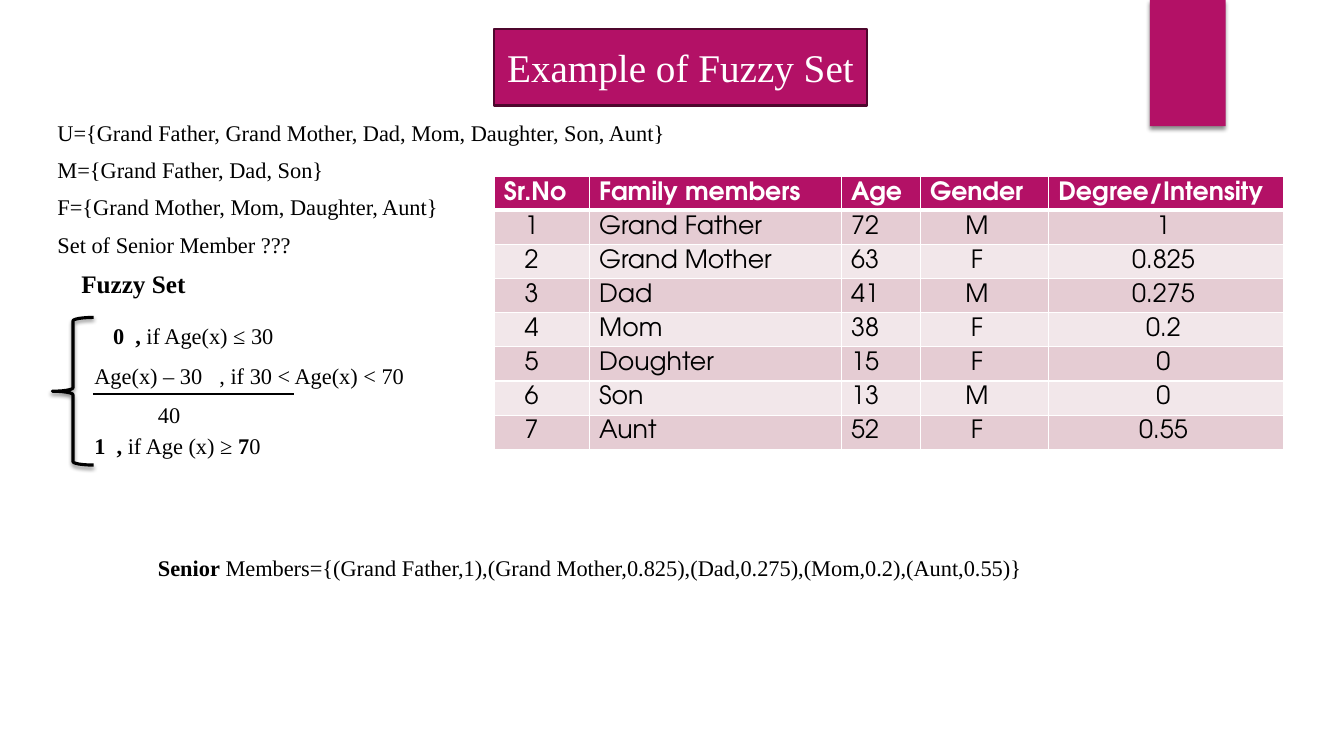
from lxml.etree import SubElement
from pptx import Presentation
from pptx.dml.color import RGBColor
from pptx.enum.shapes import MSO_CONNECTOR as Connector, MSO_SHAPE as Shape
from pptx.enum.text import MSO_ANCHOR as Anchor, MSO_AUTO_SIZE as AutoSize, PP_ALIGN as Align
from pptx.oxml.ns import qn
from pptx.util import Cm, Pt

SERIF, SANS = "Times New Roman", "TeX Gyre Adventor"
MAGENTA, PLUM, BLACK, WHITE = "B31166", "4E072D", "000000", "FFFFFF"
BANDS = ["E5CCD3", "F2E7EA"]

TITLE = "Example of Fuzzy Set"
SETS = [
    "U={Grand Father, Grand Mother, Dad, Mom, Daughter, Son, Aunt}",
    "M={Grand Father, Dad, Son}",
    "F={Grand Mother, Mom, Daughter, Aunt}",
    "Set of Senior Member ???",
]
NOTES = [
    {"at": (1.8, 6.63, 3.7), "runs": [("Fuzzy Set", True)], "size": 18},
    {"at": (2.6, 8, 5.5), "runs": [("0\t, ", True), ("if Age(x) ≤ 30", False)], "tab": 0.56},
    {"at": (2.13, 9, 9.3), "runs": [("Age(x) – 30\t, if 30 < Age(x) < 70", False)], "tab": 3.15},
    {"at": (3.73, 9.98, 1.75), "runs": [("40", False)]},
    {"at": (2.13, 10.77, 5.5), "tab": 0.56,
     "runs": [("1\t, ", True), ("if Age (x) ≥", False), (" 7", True), ("0", False)]},
    {"at": (3.73, 13.83, 24.3), "runs": [
        ("Senior", True),
        (" Members={(Grand Father,1),(Grand Mother,0.825),(Dad,0.275),(Mom,0.2),(Aunt,0.55)}", False)]},
]
COLUMNS = [
    ("Sr.No", 2.4, Align.CENTER, 0.76),
    ("Family members", 6.35, Align.LEFT, 0.25),
    ("Age", 1.99, Align.LEFT, 0.25),
    ("Gender", 3.23, Align.CENTER, 0.62),
    ("Degree/Intensity", 5.92, Align.CENTER, 0.37),
]
MEMBERS = [
    ("1", "Grand Father", "72", "M", "1"),
    ("2", "Grand Mother", "63", "F", "0.825"),
    ("3", "Dad", "41", "M", "0.275"),
    ("4", "Mom", "38", "F", "0.2"),
    ("5", "Doughter", "15", "F", "0"),
    ("6", "Son", "13", "M", "0"),
    ("7", "Aunt", "52", "F", "0.55"),
]
HEADER_HEIGHT, ROW_HEIGHT, CELL_MARGIN = 0.83, 0.86, 0.13


def paint(color_format, color):
    color_format.rgb = RGBColor.from_string(color)


def fill(target, color):
    target.fill.solid()
    paint(target.fill.fore_color, color)


def outline(shape, color, width):
    paint(shape.line.color, color)
    shape.line.width = Pt(width)


def style(span, font, size, color, bold=False):
    span.font.name, span.font.size, span.font.bold = font, Pt(size), bold
    paint(span.font.color, color)


def add_shape(kind, *lengths):
    shape = page.shapes.add_shape(kind, *map(Cm, lengths))
    shape.shadow.inherit = False
    return shape


def drop_shadow(shape):
    effects = shape._element.spPr.find(qn("a:effectLst"))
    shadow = SubElement(effects, qn("a:outerShdw"), blurRad=str(Pt(3)), dist=str(Pt(2)),
                        dir="5400000", rotWithShape="0")
    color = SubElement(shadow, qn("a:srgbClr"), val=BLACK)
    SubElement(color, qn("a:alpha"), val="45000")


def add_text(at, runs, size=16, tab=None):
    left, top, width = at
    box = page.shapes.add_textbox(Cm(left), Cm(top), Cm(width), Cm(0.94))
    frame = box.text_frame
    frame.word_wrap = True
    frame.auto_size = AutoSize.SHAPE_TO_FIT_TEXT
    para = frame.paragraphs[0]
    if tab:
        stops = SubElement(para._p.get_or_add_pPr(), qn("a:tabLst"))
        SubElement(stops, qn("a:tab"), pos=str(Cm(tab)), algn="l")
    for words, bold in runs:
        span = para.add_run()
        span.text = words
        style(span, SERIF, size, BLACK, bold)


def add_borders(cell, bottom):
    for side, width in (("L", 1), ("R", 1), ("T", 1), ("B", bottom)):
        border = SubElement(cell._tc.get_or_add_tcPr(), qn("a:ln" + side), w=str(Pt(width)))
        solid = SubElement(border, qn("a:solidFill"))
        SubElement(solid, qn("a:srgbClr"), val=WHITE)


def add_members():
    widths = [width for _, width, _, _ in COLUMNS]
    rows = [[name for name, _, _, _ in COLUMNS], *MEMBERS]
    heights = [HEADER_HEIGHT] + [ROW_HEIGHT] * len(MEMBERS)
    table = page.shapes.add_table(len(rows), len(widths), Cm(12.45), Cm(4.45),
                                  Cm(sum(widths)), Cm(sum(heights))).table
    for column, width in zip(table.columns, widths):
        column.width = Cm(width)
    for index, (values, height) in enumerate(zip(rows, heights)):
        header = index == 0
        table.rows[index].height = Cm(height)
        for cell, value, (_, _, align, right) in zip(table.rows[index].cells, values, COLUMNS):
            add_borders(cell, 3 if header else 1)
            fill(cell, MAGENTA if header else BANDS[(index - 1) % 2])
            cell.margin_top = cell.margin_bottom = Cm(CELL_MARGIN)
            cell.margin_left = Cm(0.25)
            cell.margin_right = Cm(0 if header else right)
            cell.text_frame.text = value
            para = cell.text_frame.paragraphs[0]
            para.alignment = Align.LEFT if header else align
            style(para.runs[0], SANS, 18, WHITE if header else BLACK, header)


deck = Presentation()
deck.slide_width, deck.slide_height = Cm(33.87), Cm(19.05)
page = deck.slides.add_slide(deck.slide_layouts[6])

ribbon = add_shape(Shape.RECTANGLE, 28.98, 0, 1.91, 3.18)
fill(ribbon, MAGENTA)
ribbon.line.fill.background()
drop_shadow(ribbon)

banner = add_shape(Shape.RECTANGLE, 12.45, 0.73, 9.4, 1.93)
fill(banner, MAGENTA)
outline(banner, PLUM, 1.5)
banner.text_frame.text = TITLE
banner.text_frame.margin_left = banner.text_frame.margin_right = 0
banner.text_frame.vertical_anchor = Anchor.MIDDLE
heading = banner.text_frame.paragraphs[0]
heading.alignment = Align.CENTER
style(heading.runs[0], SERIF, 28, WHITE)

add_members()

for index, words in enumerate(SETS):
    add_text((1.2, 2.87 + 0.94 * index, 16.2 if index == 0 else 10.3), [(words, False)])
for note in NOTES:
    add_text(**note)

brace = add_shape(Shape.LEFT_BRACE, 1.32, 8, 1.04, 3.72)
brace.fill.background()
outline(brace, BLACK, 2.25)
drop_shadow(brace)

fraction_bar = page.shapes.add_connector(Connector.STRAIGHT, Cm(2.34), Cm(9.93), Cm(7.4), Cm(9.93))
outline(fraction_bar, BLACK, 1.5)
SubElement(fraction_bar._element.spPr, qn("a:effectLst"))

deck.save("out.pptx")
